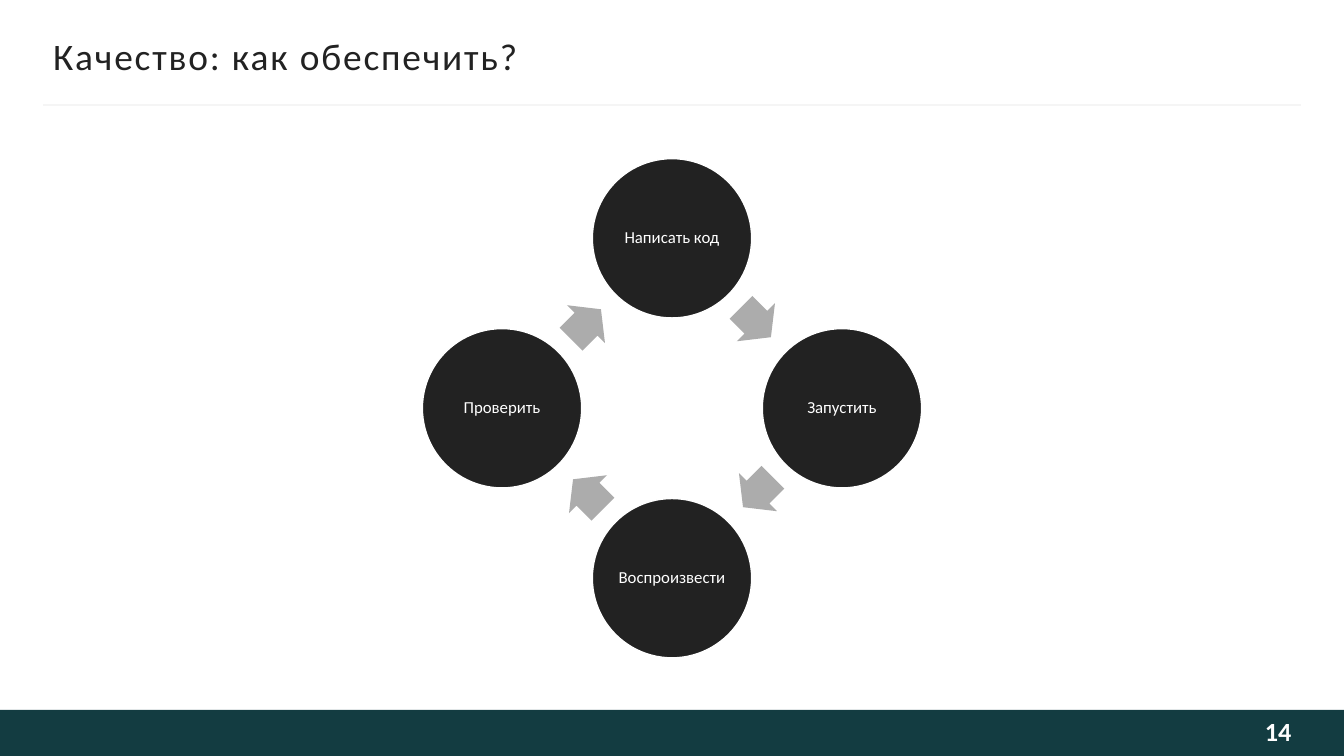
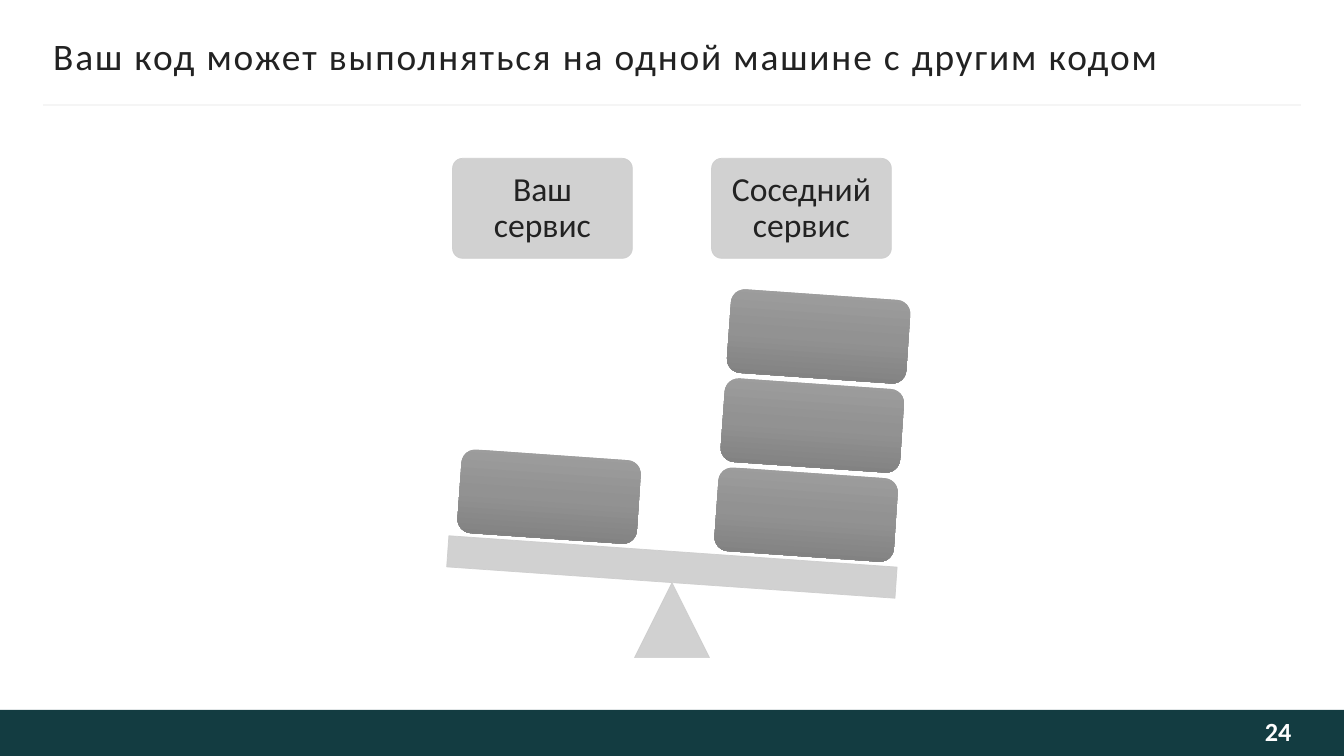
from copy import deepcopy
from math import cos, radians, sin

from pptx import Presentation
from pptx.dml.color import RGBColor
from pptx.enum import shapes, text
from pptx.oxml.ns import qn
from pptx.util import Pt
from lxml import etree

FONT = "Calibri"
INK, WHITE, PALE_WHITE = "222222", "FFFFFF", "FEFEFE"
BAND, RULE, ARROW, PALE = "133C41", "F5F5F5", "ACACAC", "CDCDCD"
BLOCK_STOPS = [(0, "9F9F9F"), (0.5, "929292"), (1, "7E7E7E")]
WIDTH, HEIGHT = 960, 540

CYCLE = {
    "title": "Качество: как обеспечить?",
    "number": 14,
    "steps": ["Написать код", "Запустить", "Воспроизвести", "Проверить"],
}
BALANCE = {
    "title": "Ваш код может выполняться на одной машине с другим кодом",
    "number": 24,
    "sides": [("Ваш сервис", 1), ("Соседний сервис", 3)],
}

SHAPE = shapes.MSO_SHAPE
ALIGN = text.PP_ALIGN


def color(value):
    return RGBColor.from_string(value)


def set_alpha(fill_owner, percent):
    """Make every solid colour below an XML element partly transparent."""
    for srgb in fill_owner.iter(qn("a:srgbClr")):
        etree.SubElement(srgb, qn("a:alpha")).set("val", str(percent * 1000))


def write(shape, words, size, ink, align=ALIGN.CENTER, insets=(0, 0, 0, 0)):
    """Fill a shape with one paragraph; insets are left, top, right, bottom."""
    frame = shape.text_frame
    frame.word_wrap = True
    frame.vertical_anchor = text.MSO_ANCHOR.MIDDLE
    (frame.margin_left, frame.margin_top,
     frame.margin_right, frame.margin_bottom) = map(Pt, insets)
    frame.text = words
    paragraph = frame.paragraphs[0]
    paragraph.alignment = align
    font = paragraph.runs[0].font
    font.name, font.size = FONT, Pt(size)
    font.color.rgb = color(ink)
    return paragraph


def add_text(slide, left, top, width, height, *args, **options):
    box = slide.shapes.add_textbox(Pt(left), Pt(top), Pt(width), Pt(height))
    return write(box, *args, **options)


def add_centred(slide, kind, x, y, width, height, fill=None, line=None,
                weight=1, rotation=0):
    """Add a preset shape placed by its centre."""
    shape = slide.shapes.add_shape(
        kind, Pt(x - width / 2), Pt(y - height / 2), Pt(width), Pt(height))
    shape.shadow.inherit = False
    shape.rotation = rotation
    if fill:
        shape.fill.solid()
        shape.fill.fore_color.rgb = color(fill)
    if line:
        shape.line.color.rgb = color(line)
        shape.line.width = Pt(weight)
    else:
        shape.line.fill.background()
    return shape


def add_pale(slide, kind, x, y, width, height, rotation=0):
    shape = add_centred(slide, kind, x, y, width, height, PALE, PALE, 0.5, rotation)
    set_alpha(shape.element.spPr, 90)
    return shape


def fill_gradient(shape, stops):
    """Apply a top-to-bottom gradient with any number of stops."""
    shape.fill.gradient()
    shape.fill.gradient_angle = 270
    stop_list = shape.element.spPr.find(qn("a:gradFill")).find(qn("a:gsLst"))
    for _ in stops[2:]:
        stop_list.append(deepcopy(stop_list[0]))
    for stop, (position, value) in zip(shape.fill.gradient_stops, stops):
        stop.position = position
        stop.color.rgb = color(value)


def add_slide(presentation, content):
    """Add a blank slide with the shared band, rule, title and number."""
    slide = presentation.slides.add_slide(presentation.slide_layouts[6])
    add_centred(slide, SHAPE.RECTANGLE, WIDTH / 2, 523.5, WIDTH, 33, BAND)
    rule = slide.shapes.add_connector(
        shapes.MSO_CONNECTOR.STRAIGHT, Pt(31), Pt(75), Pt(929), Pt(75))
    rule.line.color.rgb = color(RULE)
    rule.line.width = Pt(1.5)
    etree.SubElement(rule.element.spPr, qn("a:effectLst"))
    title = add_text(slide, 38, 24, 885, 32, content["title"], 26.7, INK,
                     ALIGN.LEFT, (0, 3.6, 0, 3.6))
    title.runs[0].font._element.set("spc", "130")
    number = add_text(slide, 778.5, 507, 144, 33, str(content["number"]), 18.7,
                      PALE_WHITE, ALIGN.RIGHT, (7.2, 3.6, 0, 6.5))
    number.runs[0].font.bold = True
    return slide


def draw_cycle(slide, steps):
    centre_x, centre_y, radius, diameter = WIDTH / 2, 291.6, 121.4, 113.8
    turn = 360 / len(steps)
    arrow_radius, setback = radius * cos(radians(turn / 2)), 1
    for index, step in enumerate(steps):
        angle = radians(index * turn)
        circle = add_centred(
            slide, SHAPE.OVAL, centre_x + radius * sin(angle),
            centre_y - radius * cos(angle), diameter, diameter, INK, WHITE)
        write(circle, step, 12, WHITE, insets=(1, 1, 1, 1)).line_spacing = 0.9

        heading = (index + 0.5) * turn
        across, down = sin(radians(heading)), -cos(radians(heading))
        arrow = add_centred(
            slide, SHAPE.RIGHT_ARROW,
            centre_x + arrow_radius * across + setback * down,
            centre_y + arrow_radius * down - setback * across,
            30.2, 38.4, ARROW, rotation=heading)
        arrow.adjustments[0], arrow.adjustments[1] = 0.6, 0.5


def draw_balance(slide, sides):
    centre_x, beam_y, tilt = WIDTH / 2, 405, 4
    label_gap, block_gap = 185, 184
    lift, block_step = 44, 63.8
    slope_x, slope_y = cos(radians(tilt)), sin(radians(tilt))

    add_pale(slide, SHAPE.ISOSCELES_TRIANGLE, centre_x, 443, 53.5, 53.5)
    add_pale(slide, SHAPE.RECTANGLE, centre_x, beam_y, 321, 22.3, tilt)
    for side, (name, block_count) in zip((-0.5, 0.5), sides):
        label = add_pale(slide, SHAPE.ROUNDED_RECTANGLE,
                         centre_x + side * label_gap, 148.8, 128.4, 71.4)
        label.adjustments[0] = 0.1
        write(label, name, 24, INK, insets=(7.2,) * 4).line_spacing = 0.9
        for level in range(block_count):
            along, above = side * block_gap + 1, lift + level * block_step
            block = add_centred(
                slide, SHAPE.ROUNDED_RECTANGLE,
                centre_x + along * slope_x + above * slope_y,
                beam_y + along * slope_y - above * slope_x,
                128.4, 59.8, rotation=tilt)
            fill_gradient(block, BLOCK_STOPS)


def main():
    presentation = Presentation()
    presentation.slide_width, presentation.slide_height = Pt(WIDTH), Pt(HEIGHT)
    draw_cycle(add_slide(presentation, CYCLE), CYCLE["steps"])
    draw_balance(add_slide(presentation, BALANCE), BALANCE["sides"])
    presentation.save("out.pptx")


if __name__ == "__main__":
    main()
